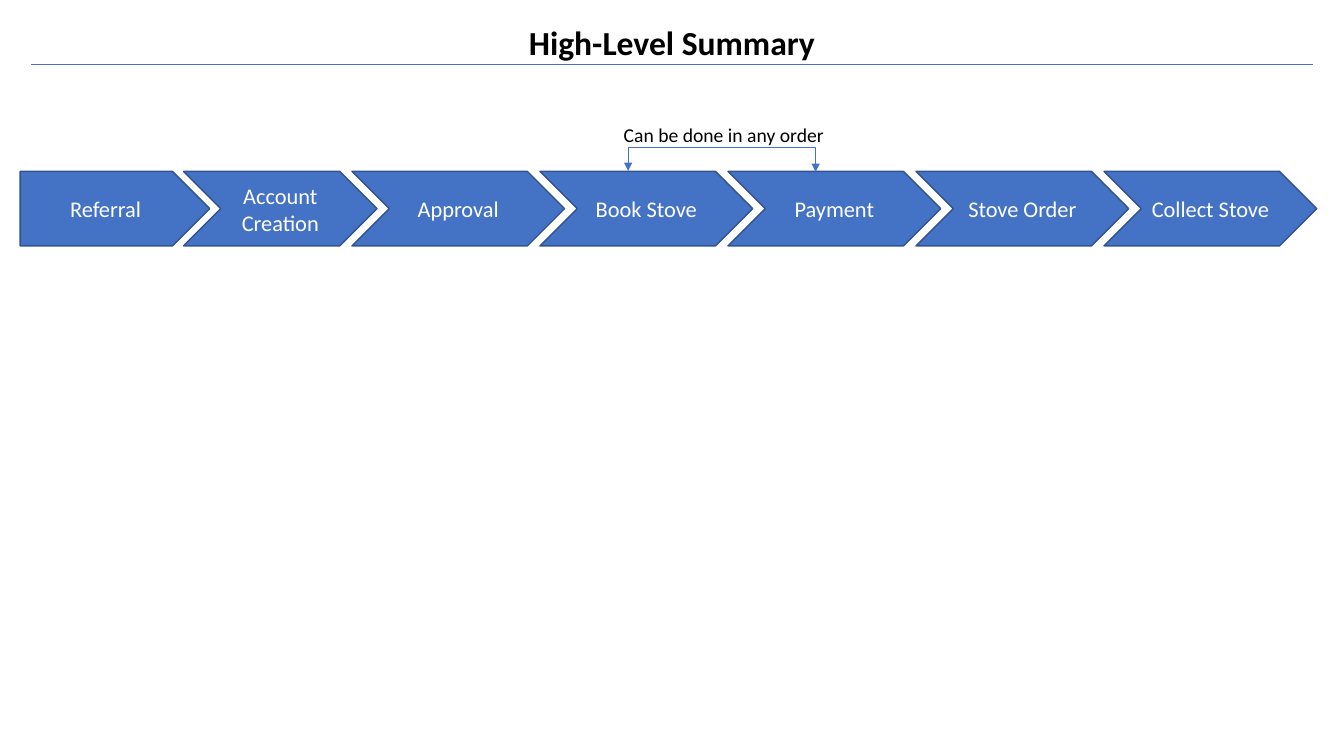
from lxml import etree
from pptx import Presentation
from pptx.dml.color import RGBColor
from pptx.enum.shapes import MSO_CONNECTOR, MSO_SHAPE
from pptx.enum.text import MSO_ANCHOR, PP_ALIGN
from pptx.oxml.ns import qn
from pptx.util import Inches, Pt

PENTAGON, CHEVRON = MSO_SHAPE.PENTAGON, MSO_SHAPE.CHEVRON
STRAIGHT, ELBOW = MSO_CONNECTOR.STRAIGHT, MSO_CONNECTOR.ELBOW
TOP, MIDDLE = MSO_ANCHOR.TOP, MSO_ANCHOR.MIDDLE
CENTER = PP_ALIGN.CENTER

FONT = "Calibri"
BLUE, DARK_BLUE, WHITE, BLACK = "4472C4", "31538F", "FFFFFF", "000000"
STEP_TOP, STEP_HEIGHT = 1.7, 0.74
FIRST_STEPS = [("Referral", PENTAGON, 0.2, 1.88), ("Account Creation", CHEVRON, 1.82, 1.92)]
LATER_STEPS = ["Approval", "Book Stove", "Payment", "Stove Order", "Collect Stove"]
LATER_LEFT, LATER_PITCH, LATER_WIDTH = 3.49, 1.865, 2.11


def color(value):
    """Return the colour for a hex string."""
    return RGBColor.from_string(value)


def set_text(shape, text, size=16, fill=BLACK, bold=False, anchor=TOP):
    """Put one centred, formatted paragraph in a shape."""
    frame = shape.text_frame
    frame.word_wrap = True
    frame.vertical_anchor = anchor
    frame.text = text
    paragraph = frame.paragraphs[0]
    paragraph.alignment = CENTER
    paragraph.line_spacing = 1.0
    font = paragraph.font
    font.name, font.size, font.bold = FONT, Pt(size), bold
    font.color.rgb = color(fill)


def add_title(slide, text):
    """Place and format the title placeholder."""
    title = slide.shapes.title
    title.left, title.top = Inches(2.96), Inches(0.17)
    title.width, title.height = Inches(7.41), Inches(0.5)
    set_text(title, text, size=24, bold=True)


def add_step(slide, text, kind, left, width):
    """Add one arrow-shaped process step."""
    step = slide.shapes.add_shape(
        kind, Inches(left), Inches(STEP_TOP), Inches(width), Inches(STEP_HEIGHT))
    step.shadow.inherit = False
    step.fill.solid()
    step.fill.fore_color.rgb = color(BLUE)
    step.line.color.rgb = color(DARK_BLUE)
    step.line.width = Pt(1)
    set_text(step, text, fill=WHITE, anchor=MIDDLE)


def add_line(slide, kind, start, end):
    """Add a thin blue connector without shadow."""
    line = slide.shapes.add_connector(kind, *map(Inches, start + end))
    line.line.color.rgb = color(BLUE)
    line.line.width = Pt(0.75)
    etree.SubElement(line._element.spPr, qn("a:effectLst"))
    return line


def add_bracket(slide, left, right, bottom, rise):
    """Add a U-shaped double arrow standing on two points."""
    depth = 0.01
    middle, half = (left + right) / 2, (right - left) / 2
    bracket = add_line(slide, ELBOW, (middle + depth / 2, bottom - half),
                       (middle - depth / 2, bottom + half))
    properties = bracket._element.spPr
    properties.find(qn("a:xfrm")).set("rot", str(270 * 60000))
    guides = properties.find(qn("a:prstGeom")).get_or_add_avLst()
    bend = round(-rise / depth * 100000)
    etree.SubElement(guides, qn("a:gd"), name="adj1", fmla=f"val {bend}")
    for tag in ("a:headEnd", "a:tailEnd"):
        etree.SubElement(properties.find(qn("a:ln")), qn(tag), type="triangle")


def main():
    """Build and save the slide."""
    presentation = Presentation()
    presentation.slide_width, presentation.slide_height = Inches(13.33), Inches(7.5)
    slide = presentation.slides.add_slide(presentation.slide_layouts[5])
    add_title(slide, "High-Level Summary")
    add_line(slide, STRAIGHT, (0.31, 0.64), (13.02, 0.64))
    for step in FIRST_STEPS:
        add_step(slide, *step)
    for index, text in enumerate(LATER_STEPS):
        add_step(slide, text, CHEVRON, LATER_LEFT + index * LATER_PITCH, LATER_WIDTH)
    add_bracket(slide, left=6.23, right=8.09, bottom=STEP_TOP, rise=0.24)
    note = slide.shapes.add_textbox(Inches(5.63), Inches(1.17), Inches(3.1), Inches(0.34))
    set_text(note, "Can be done in any order", size=14)
    presentation.save("out.pptx")


if __name__ == "__main__":
    main()
